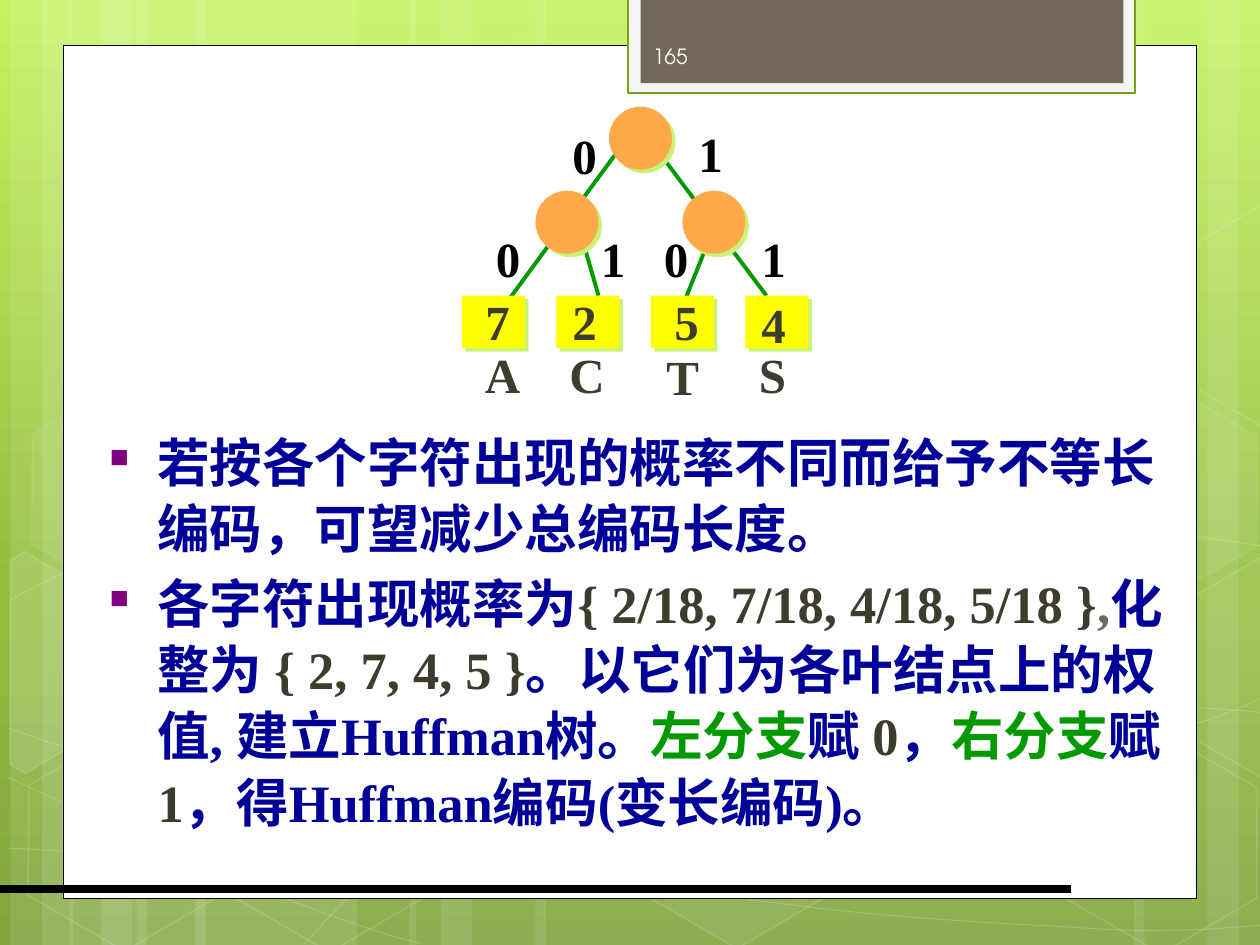
from copy import deepcopy
from dataclasses import dataclass

from lxml.etree import SubElement
from pptx import Presentation
from pptx.dml.color import RGBColor
from pptx.enum.shapes import MSO_CONNECTOR as CONNECTOR, MSO_SHAPE as SHAPE
from pptx.enum.text import MSO_ANCHOR as ANCHOR, MSO_AUTO_SIZE as AUTO_SIZE, PP_ALIGN as ALIGN
from pptx.oxml.ns import qn
from pptx.util import Pt


@dataclass(frozen=True)
class Theme:
    sky: tuple = ((0, "C3F35F"), (0.62, "93BF3F"), (1, "81A53E"))
    white: str = "FFFFFF"
    black: str = "000000"
    tab: str = "F5F5F5"
    tab_edge: str = "74A510"
    taupe: str = "71685A"
    page_text: str = "FEFEFE"
    navy: str = "000099"
    olive: str = "3E3D2D"
    green: str = "009900"
    bullet: str = "800080"
    node: str = "FFA94A"
    leaf: str = "FFFF00"
    shadow: str = "CAF278"
    serif: str = "Times New Roman"
    sans: str = "TeX Gyre Adventor"
    body_size: int = 30
    label_size: int = 28
    page_size: int = 12


T = Theme()
rgb = RGBColor.from_string

# Cubic curves: start point, then two control points and an end point per segment
CURVES = [
    [(5, 484.6), (43.9, 486.7), (82.8, 488.9), (136.8, 488.2), (190.8, 487.4), (257.8, 486),
     (329.8, 478.8), (401.8, 471.6), (504, 457.2), (570, 444.2), (635.8, 430.6), (703.4, 409), (725, 396.7)],
    [(5, 343.4), (25.9, 331.9), (46.8, 321.1), (87.1, 310.3), (128.2, 299.5), (186.5, 283.7),
     (249.8, 278.6), (313.9, 273.6), (391.7, 272.9), (470.9, 278.6), (550, 284.4), (681.8, 306.7), (725, 312.5)],
    [(4.3, 444.2), (91.4, 483.8), (177.8, 523.4), (240.5, 539.3)],
    [(5, 416.2), (27.4, 424), (50.4, 432), (92.2, 443.5), (133.9, 454.3), (196.6, 472.3),
     (257, 484.6), (316.8, 496.8), (392.4, 509.8), (452.2, 517), (511.9, 524.9), (576, 527.8),
     (614.2, 529.9), (651.6, 532.8), (661.7, 531.4), (680.4, 531.4), (699.1, 530.6), (712.1, 529.2), (725, 528.5)],
    [(174.2, 539.3), (187.2, 524.9), (200.2, 510.5), (217.4, 497.5), (234.7, 484.6), (259.2, 470.2),
     (279.4, 460.1), (299.5, 450), (311.8, 445.7), (338.4, 438.5), (364.3, 431.3), (412.6, 421.2),
     (437.8, 416.2), (463.7, 411.1), (467.3, 411.1), (489.6, 409.7), (511.9, 407.5), (547.2, 405.4),
     (571.7, 404.6), (596.9, 403.9), (637.9, 404.6), (637.9, 404.6), (654, 404.6), (670, 404.6),
     (686.2, 404.6), (699.1, 405.4), (711.4, 406.1), (717.8, 406.8), (724.3, 407.5), (722.2, 406.8), (724.3, 407.5)],
]
# left, top, fill opacity, line opacity
HEXAGONS = [(240.5, 26, 4, 8), (358, 424, 6, 12), (8, 425.5, 0, 12), (10, 224.6, 7, 8),
            (125.3, 426.2, 0, 12), (542, 326.2, 10, 12), (600.5, 427, 0, 12), (600.5, 226, 7, 8)]
LEFT_CUT = [(0, 8.6), (4, 0), (68, 0), (99, 55), (68, 109.5), (58, 109.5)]
RIGHT_CUT = [(0, 54.5), (31, 0), (38, 0), (98, 104), (95, 109.5), (31.5, 109.5)]
# left, top, corners, fill opacity
CUT_HEXAGONS = [(-23.8, 330.5, LEFT_CUT, 10), (660.2, 319.7, RIGHT_CUT, 4), (660.2, 118.8, RIGHT_CUT, 0)]


def apply(target, **values):
    for name, value in values.items():
        setattr(target, name, value)


def set_alpha(shape, parent, percent):
    color = shape.element.spPr.find(f"{parent}{qn('a:solidFill')}/{qn('a:srgbClr')}")
    SubElement(color, qn("a:alpha"), val=str(percent * 1000))


def style(shape, fill=None, line=None, width=1, fill_alpha=100, line_alpha=100):
    shape.shadow.inherit = False
    if fill and fill_alpha:
        shape.fill.solid()
        shape.fill.fore_color.rgb = rgb(fill)
        if fill_alpha < 100:
            set_alpha(shape, "", fill_alpha)
    else:
        shape.fill.background()
    if line:
        shape.line.color.rgb = rgb(line)
        shape.line.width = Pt(width)
        if line_alpha < 100:
            set_alpha(shape, qn("a:ln") + "/", line_alpha)
    else:
        shape.line.fill.background()
    return shape


def add_preset(slide, preset, box, **look):
    return style(slide.shapes.add_shape(preset, *map(Pt, box)), **look)


def add_outline(slide, points, close, **look):
    start, *rest = [(Pt(x), Pt(y)) for x, y in points]
    builder = slide.shapes.build_freeform(*start)
    builder.add_line_segments(rest, close=close)
    return style(builder.convert_to_shape(), **look)


def add_curve(slide, points, **look):
    """Outline whose segments are joined by threes into cubic Béziers."""
    curve = add_outline(slide, points, False, **look)
    segments = list(curve.element.iter(qn("a:lnTo")))
    for i in range(0, len(segments), 3):
        triple = segments[i:i + 3]
        bezier = SubElement(triple[0].getparent(), qn("a:cubicBezTo"))
        for segment in triple:
            bezier.append(segment[0])
            segment.getparent().remove(segment)


def add_line(slide, ends, color, width):
    line = slide.shapes.add_connector(CONNECTOR.STRAIGHT, *map(Pt, ends))
    line.line.color.rgb = rgb(color)
    line.line.width = Pt(width)
    SubElement(line.element.spPr, qn("a:effectLst"))


def add_run(paragraph, text, color, size, face, bold=False):
    run = paragraph.add_run()
    run.text = text
    apply(run.font, name=face, size=Pt(size), bold=bold)
    run.font.color.rgb = rgb(color)


def add_frame(slide, box, **layout):
    frame = slide.shapes.add_textbox(*map(Pt, box)).text_frame
    apply(frame, **layout)
    return frame


def add_backdrop(slide, width, height):
    sky = slide.background.fill
    sky.gradient()
    sky.gradient_angle = 270
    stops = slide.element.find(".//" + qn("a:gsLst"))
    stops.insert(1, deepcopy(stops[0]))
    for stop, (position, color) in zip(sky.gradient_stops, T.sky):
        stop.position = position
        stop.color.rgb = rgb(color)
    for left, band in [(78, 126), (6, 36), (24, 60), (111.6, 126), (39.6, 36), (57.6, 60),
                       (528, 126), (690, 36), (648, 60), (306, 222), (234, 36), (252, 60)]:
        add_preset(slide, SHAPE.RECTANGLE, (left, 0, band, height), fill=T.white, fill_alpha=10)
    for curve in CURVES:
        add_curve(slide, curve, line=T.white, width=0.5, line_alpha=20)
    for left, top, fill_alpha, line_alpha in HEXAGONS:
        hexagon = add_preset(slide, SHAPE.HEXAGON, (left, top, 126, 109.5), fill=T.white,
                             fill_alpha=fill_alpha, line=T.white, line_alpha=line_alpha)
        hexagon.rotation = 30
        hexagon.adjustments[0] = 0.285
    for left, top, corners, fill_alpha in CUT_HEXAGONS:
        cut = add_outline(slide, [(left + x, top + y) for x, y in corners], True, fill=T.white,
                          fill_alpha=fill_alpha, line=T.white, line_alpha=12)
        cut.rotation = 30
    add_preset(slide, SHAPE.RECTANGLE, (36, 26, width - 72, 487.4), fill=T.white, line=T.black, width=0.5)


def add_page_tab(slide, left, top, width, height):
    add_preset(slide, SHAPE.RECTANGLE, (left, top, width, height),
               fill=T.tab, line=T.tab_edge, width=1.25)
    add_preset(slide, SHAPE.RECTANGLE, (left + 7, top, width - 13.5, height - 5.5), fill=T.taupe)
    frame = add_frame(slide, (left + 7, top + 19, 105, 29), word_wrap=True, vertical_anchor=ANCHOR.MIDDLE)
    add_run(frame.paragraphs[0], "165", T.page_text, T.page_size, T.sans)


def add_explanation(slide, box):
    frame = add_frame(slide, box, word_wrap=True, auto_size=AUTO_SIZE.SHAPE_TO_FIT_TEXT)
    points = [
        [("若按各个字符出现的概率不同而给予不等长编码，可望减少总编码长度。", T.navy)],
        [("各字符出现概率为", T.navy), ("{ 2/18, 7/18, 4/18, 5/18 }", T.olive), (",", T.taupe),
         ("化整为 ", T.navy), ("{ 2, 7, 4, 5 }", T.olive),
         ("。以它们为各叶结点上的权值, 建立Huffman树。", T.navy), ("左分支", T.green),
         ("赋 ", T.navy), ("0", T.olive), ("，", T.navy), ("右分支", T.green),
         ("赋 ", T.navy), ("1", T.olive), ("，得Huffman编码(变长编码)。", T.navy)],
    ]
    for i, runs in enumerate(points):
        paragraph = frame.add_paragraph() if i else frame.paragraphs[0]
        apply(paragraph, line_spacing=1.05, space_before=Pt(5 if i else 0))
        props = paragraph._p.get_or_add_pPr()
        props.set("marL", str(Pt(27.4)))
        props.set("indent", str(-Pt(27.4)))
        SubElement(SubElement(props, qn("a:buClr")), qn("a:srgbClr"), val=T.bullet)
        SubElement(props, qn("a:buSzPct"), val="50000")
        SubElement(props, qn("a:buChar"), char="■")
        for text, color in runs:
            add_run(paragraph, text, color, T.body_size, T.serif, bold=True)


def add_huffman_tree(slide, left, top):
    def add_node(preset, x, y, height, color):
        node = add_preset(slide, preset, (left + x, top + y, 36, height), fill=color)
        shadow = SubElement(node.element.spPr.find(qn("a:effectLst")), qn("a:outerShdw"),
                            dist=str(Pt(2.8)), dir="2700000", algn="ctr", rotWithShape="0")
        SubElement(shadow, qn("a:srgbClr"), val=T.shadow)

    def add_label(text, x, y, color, width=29):
        """Label centred on x, y."""
        frame = add_frame(slide, (left + x - width / 2, top + y - 20, width, 41), word_wrap=False,
                          vertical_anchor=ANCHOR.MIDDLE, auto_size=AUTO_SIZE.SHAPE_TO_FIT_TEXT)
        frame.paragraphs[0].alignment = ALIGN.CENTER
        add_run(frame.paragraphs[0], text, color, T.label_size, T.serif, bold=True)

    for x1, y1, x2, y2 in [(138, 84, 126, 114), (102, 12, 174, 108), (66, 66, 78, 108), (90, 24, 24, 114)]:
        add_line(slide, (left + x1, top + y1, left + x2, top + y2), T.green, 2.25)
    for x, y in [(84, 0), (42, 48), (126, 48)]:
        add_node(SHAPE.OVAL, x, y, 36, T.node)
    leaves = [("7", 20.4, 122, "A", 23.2, 152, 34.5), ("2", 70, 122, "C", 71.5, 152, 34.5),
              ("5", 128.4, 122, "T", 126.2, 153.5, 33), ("4", 178, 123.5, "S", 177.4, 152, 30.5)]
    for i, (weight, weight_x, weight_y, letter, letter_x, letter_y, width) in enumerate(leaves):
        add_node(SHAPE.RECTANGLE, i * 54, 108, 30, T.leaf)
        add_label(weight, weight_x, weight_y, T.olive)
        add_label(letter, letter_x, letter_y, T.olive, width)
    for bit, x, y in [("0", 70, 27), ("1", 142, 26), ("0", 26.4, 86),
                      ("1", 86.4, 86), ("0", 122.4, 86), ("1", 178, 86)]:
        add_label(bit, x, y, T.black)


def main():
    deck = Presentation()
    apply(deck, slide_width=Pt(720), slide_height=Pt(540))
    slide = deck.slides.add_slide(deck.slide_layouts[6])
    add_backdrop(slide, 720, 540)
    add_page_tab(slide, 359, -1.5, 289.5, 54.5)
    add_line(slide, (0, 508, 612, 508), T.black, 4.5)
    add_explanation(slide, (55.5, 240.5, 636, 239))
    add_huffman_tree(slide, 264, 61)
    deck.save("out.pptx")


if __name__ == "__main__":
    main()
